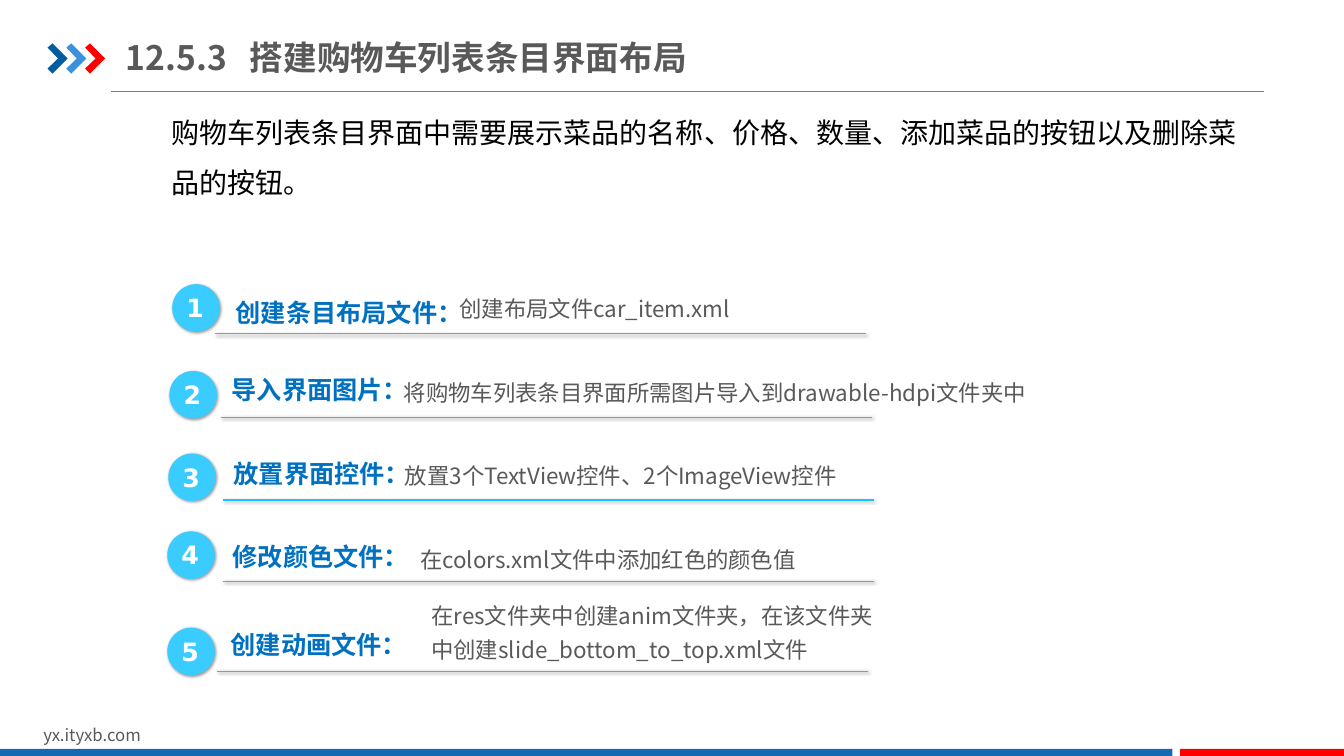
"""Build the slide on the layout of a shopping cart list item."""
from lxml import etree
from pptx import Presentation
from pptx.dml.color import RGBColor
from pptx.enum.shapes import MSO_CONNECTOR as CONNECTOR, MSO_SHAPE as SHAPE
from pptx.enum.text import MSO_ANCHOR as ANCHOR, MSO_AUTO_SIZE as AUTO_SIZE
from pptx.oxml import parse_xml
from pptx.oxml.ns import nsdecls, qn
from pptx.util import Pt

COLORS = {
    "grey": "595959", "rule": "808080", "black": "000000", "white": "FFFFFF",
    "navy": "005DA2", "sky": "3992DB", "red": "FF0000", "footer": "1369B2",
    "circle": "3BCCFF", "underline": "19C3FF", "label": "0070C0",
}
CJK_FONT = "Noto Sans CJK SC"
SHADOW = (
    f'<a:effectLst {nsdecls("a")}>'
    '<a:outerShdw blurRad="25400" dist="12700" dir="2700000" algn="tl" rotWithShape="0">'
    '<a:srgbClr val="000000"><a:alpha val="40000"/></a:srgbClr>'
    '</a:outerShdw></a:effectLst>'
)

presentation = Presentation()
presentation.slide_width = Pt(960)
presentation.slide_height = Pt(540)
slide = presentation.slides.add_slide(presentation.slide_layouts[6])
shapes = slide.shapes


def add_text(text, left, top, width, height, size=18, color="grey", bold=False,
             font=CJK_FONT, wrap=True, spacing=None, after=None, grow=True):
    box = shapes.add_textbox(Pt(left), Pt(top), Pt(width), Pt(height))
    frame = box.text_frame
    frame.word_wrap = wrap
    frame.auto_size = AUTO_SIZE.SHAPE_TO_FIT_TEXT if grow else AUTO_SIZE.NONE
    paragraph = frame.paragraphs[0]
    if spacing:
        paragraph.line_spacing = spacing
    if after:
        paragraph.space_after = Pt(after)
    run = paragraph.add_run()
    run.text = text
    run.font.size = Pt(size)
    run.font.bold = bold
    run.font.name = font
    run.font.color.rgb = RGBColor.from_string(COLORS[color])
    east_asian = etree.SubElement(run.font._element, qn("a:ea"))
    east_asian.set("typeface", font)
    return box


def paint(shape, color):
    shape.shadow.inherit = False
    shape.fill.solid()
    shape.fill.fore_color.rgb = RGBColor.from_string(COLORS[color])
    shape.line.fill.background()


title_rule = shapes.add_connector(CONNECTOR.STRAIGHT, Pt(79.2), Pt(65.5), Pt(903), Pt(65.5))
title_rule.line.color.rgb = RGBColor.from_string(COLORS["rule"])
title_rule.line.width = Pt(0.75)
etree.SubElement(title_rule._element.spPr, qn("a:effectLst"))

CHEVRON = [(0, 3), (3.6, 0), (14.4, 10.8), (3.6, 21.6), (0, 18), (7.5, 10.8)]
for index, color in enumerate(["navy", "sky", "red"]):
    points = [(Pt(34 + 13.4 * index + x), Pt(31 + y)) for x, y in CHEVRON]
    builder = shapes.build_freeform(*points[0])
    builder.add_line_segments(points[1:], close=True)
    paint(builder.convert_to_shape(), color)

add_text("yx.ityxb.com", 23.8, 514, 229, 21.6, size=12)
for left, width, color in [(0, 837.4, "footer"), (843, 117, "red")]:
    bar = shapes.add_shape(SHAPE.RECTANGLE, Pt(left), Pt(535), Pt(width), Pt(5))
    paint(bar, color)

title = add_text("12.5.3\t搭建购物车列表条目界面布局", 90, 20.9, 480, 39.6,
                 size=24, bold=True, grow=False)
title.text_frame.margin_left = title.text_frame.margin_right = 0
title.text_frame.margin_top = title.text_frame.margin_bottom = Pt(5)
title.text_frame.vertical_anchor = ANCHOR.MIDDLE
tabs = etree.SubElement(title.text_frame.paragraphs[0]._p.get_or_add_pPr(), qn("a:tabLst"))
etree.SubElement(tabs, qn("a:tab"), pos=str(Pt(88.5)), algn="l")

add_text("购物车列表条目界面中需要展示菜品的名称、价格、数量、添加菜品的按钮以及删除菜品的按钮。",
         115.2, 67, 787.7, 80, size=20, color="black", spacing=1.5)

STEPS = [
    {"circle": (123, 203), "line": (153.4, 238.3),
     "label": ("创建条目布局文件：", 161.3, 202.3, 177.8, 35.3),
     "label_format": {"spacing": 1.3, "after": 3},
     "detail": ("创建布局文件car_item.xml", 321.1, 201.6, 338.4, 32.4)},
    {"circle": (121, 265), "line": (157.7, 298.1),
     "label": ("导入界面图片：", 158.4, 264.2, 145.4, 28.8),
     "label_format": {"wrap": False},
     "detail": ("将购物车列表条目界面所需图片导入到drawable-hdpi文件夹中",
                281.5, 261.4, 482.4, 32.4)},
    {"circle": (120.2, 324), "line": (159.1, 357.1),
     "label": ("放置界面控件：", 159.8, 324, 145.4, 28.8),
     "label_format": {"wrap": False},
     "detail": ("放置3个TextView控件、2个ImageView控件", 282.2, 321.1, 357.8, 32.4)},
    {"circle": (119.5, 379.6), "line": (159.1, 415.4),
     "label": ("修改颜色文件：", 159.1, 383, 145.4, 28.8),
     "label_format": {"wrap": False},
     "detail": ("在colors.xml文件中添加红色的颜色值", 293, 380.9, 317.5, 32.4)},
    {"circle": (119.5, 448.4), "line": (154.8, 479.5),
     "label": ("创建动画文件：", 157.7, 445.7, 145.4, 28.8),
     "label_format": {"wrap": False},
     "detail": ("在res文件夹中创建anim文件夹，在该文件夹中创建slide_bottom_to_top.xml文件",
                301, 420.5, 338.4, 57.6)},
]
for number, step in enumerate(STEPS, start=1):
    left, top = step["line"]
    underline = shapes.add_connector(CONNECTOR.STRAIGHT, Pt(left), Pt(top),
                                     Pt(left + 465), Pt(top))
    underline.line.color.rgb = RGBColor.from_string(COLORS["underline"])
    underline.line.width = Pt(1)
    underline._element.spPr.append(parse_xml(SHADOW))

    left, top = step["circle"]
    circle = shapes.add_shape(SHAPE.OVAL, Pt(left), Pt(top), Pt(34), Pt(34))
    paint(circle, "circle")
    circle.rotation = 9.6
    effects = circle._element.spPr.find(qn("a:effectLst"))
    circle._element.spPr.replace(effects, parse_xml(SHADOW))
    add_text(str(number), left + 3, top + 2.4, 27.4, 28.8, color="white", bold=True,
             font="DejaVu Sans", wrap=False)

    add_text(*step["label"], color="label", bold=True, **step["label_format"])
    add_text(*step["detail"], size=16, spacing=1.3, after=3)

presentation.save("out.pptx")
